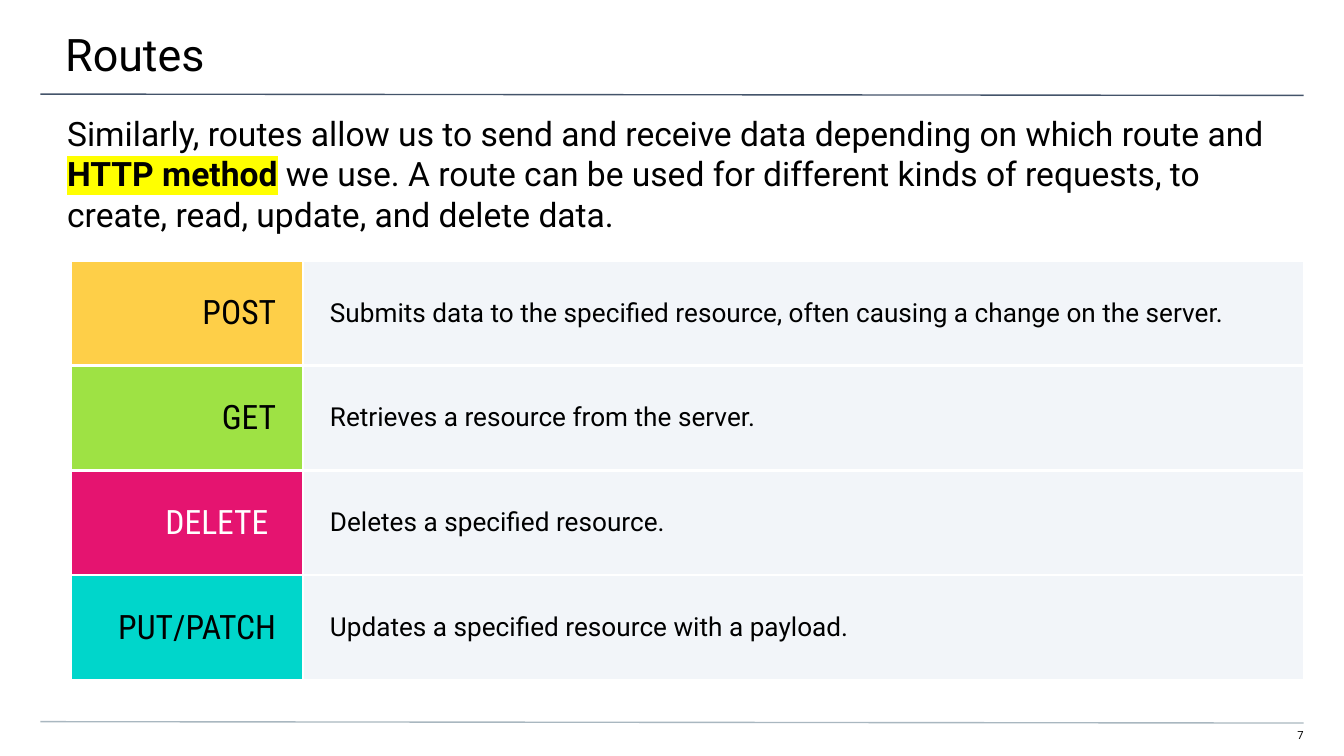
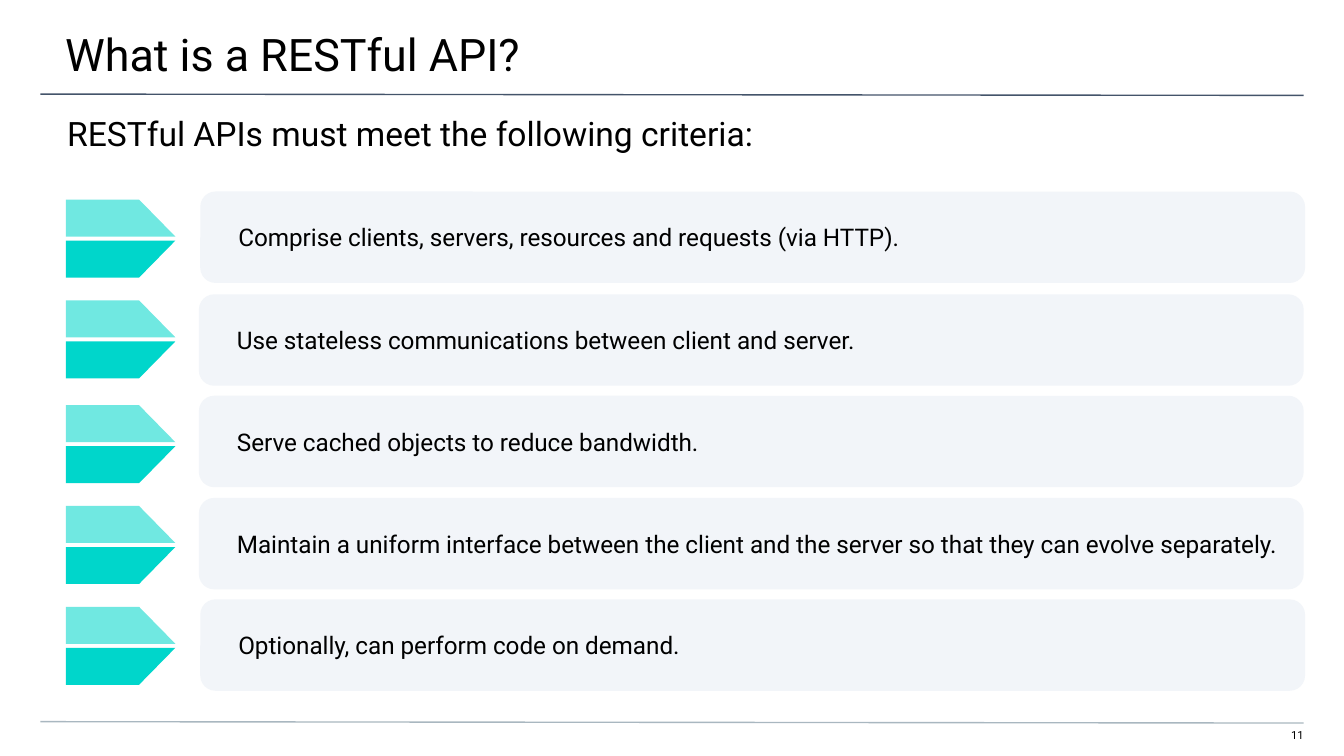
"""Build two slides on HTTP routes and the criteria of a RESTful API."""
from lxml import etree
from pptx import Presentation
from pptx.dml.color import RGBColor
from pptx.enum.shapes import MSO_CONNECTOR, MSO_SHAPE
from pptx.enum.text import MSO_ANCHOR, MSO_AUTO_SIZE, PP_ALIGN
from pptx.oxml.ns import qn
from pptx.util import Pt

PX = 4572
LEFT, RIGHT = PP_ALIGN.LEFT, PP_ALIGN.RIGHT
TOP, MIDDLE = MSO_ANCHOR.TOP, MSO_ANCHOR.MIDDLE
STRAIGHT = MSO_CONNECTOR.STRAIGHT
ROUNDED = MSO_SHAPE.ROUNDED_RECTANGLE
NO_AUTOFIT = MSO_AUTO_SIZE.NONE

BLACK = RGBColor(0x00, 0x00, 0x00)
WHITE = RGBColor(0xFF, 0xFF, 0xFF)
NAVY = RGBColor(0x44, 0x54, 0x6A)
GREY = RGBColor(0xA9, 0xB7, 0xC0)
PALE = RGBColor(0xF2, 0xF5, 0xF9)
YELLOW = RGBColor(0xFE, 0xCF, 0x48)
GREEN = RGBColor(0x9E, 0xE2, 0x44)
PINK = RGBColor(0xE5, 0x14, 0x70)
TEAL = RGBColor(0x00, 0xD6, 0xCB)
HIGHLIGHT = RGBColor(0xFF, 0xFF, 0x00)

BODY_FONT = "Roboto"
METHOD_FONT = "Roboto Condensed"


def write(frame, parts, size, insets, anchor=TOP, align=LEFT, color=BLACK, font=BODY_FONT):
    """Fill a text frame with one paragraph; odd parts are bold and highlighted."""
    frame.word_wrap = True
    frame.auto_size = NO_AUTOFIT
    frame.vertical_anchor = anchor
    (frame.margin_left, frame.margin_top,
     frame.margin_right, frame.margin_bottom) = [inset * PX for inset in insets]
    paragraph = frame.paragraphs[0]
    paragraph.alignment = align
    paragraph.font.size = Pt(size)
    paragraph.font.name = font
    paragraph.font.color.rgb = color
    for index, part in enumerate(parts):
        run = paragraph.add_run()
        run.text = part
        if index % 2:
            run.font.bold = True
            marker = etree.SubElement(run.font._element, qn("a:highlight"))
            etree.SubElement(marker, qn("a:srgbClr"), val=str(HIGHLIGHT))


def start_slide(number, heading, intro):
    """Add a slide with its number, rules, title and introduction."""
    slide = prs.slides.add_slide(prs.slide_layouts[5])
    page = slide.shapes.add_textbox(1882 * PX, 1084 * PX, 58 * PX, 24 * PX)
    write(page.text_frame, [number], 6, (0, 0, 0, 20), align=RIGHT)
    for y, color in ((140, NAVY), (1074, GREY)):
        rule = slide.shapes.add_connector(STRAIGHT, 60 * PX, y * PX, 1940 * PX, (y + 2) * PX)
        rule.line.color.rgb = color
        rule.line.width = Pt(0.75)
        etree.SubElement(rule._element.spPr, qn("a:effectLst"))
    title = slide.shapes.title
    title.left, title.top, title.width, title.height = -3 * PX, 0, 2006 * PX, 116 * PX
    write(title.text_frame, [heading], 24, (100, 40, 60, 20))
    lead = slide.shapes.add_textbox(0, 148 * PX, 2000 * PX, 80 * PX)
    write(lead.text_frame, intro, 18, (100, 20, 100, 0))
    return slide


prs = Presentation()
prs.slide_width, prs.slide_height = 2000 * PX, 1125 * PX

routes = start_slide("7", "Routes", [
    "Similarly, routes allow us to send and receive data depending on which route and ",
    "HTTP method",
    " we use. A route can be used for different kinds of requests, to create, read, "
    "update, and delete data.",
])
methods = [
    ("POST", YELLOW, BLACK,
     "Submits data to the specified resource, often causing a change on the server."),
    ("GET", GREEN, BLACK, "Retrieves a resource from the server."),
    ("DELETE ", PINK, WHITE, "Deletes a specified resource."),
    ("PUT/PATCH", TEAL, BLACK, "Updates a specified resource with a payload."),
]
table = routes.shapes.add_table(
    len(methods), 2, 106 * PX, 388 * PX, 1835 * PX, 156 * len(methods) * PX).table
table.first_row = table.horz_banding = False
table.columns[0].width, table.columns[1].width = 345 * PX, 1490 * PX
for row, (method, fill, color, effect) in enumerate(methods):
    method_cell, effect_cell = table.cell(row, 0), table.cell(row, 1)
    padding = (40, 40, 40, 40)
    write(method_cell.text_frame, [method], 18, padding, MIDDLE, RIGHT, color, METHOD_FONT)
    write(effect_cell.text_frame, [effect], 14, padding, MIDDLE)
    for cell, background in ((method_cell, fill), (effect_cell, PALE)):
        cell.vertical_anchor = MIDDLE
        (cell.margin_left, cell.margin_top,
         cell.margin_right, cell.margin_bottom) = [inset * PX for inset in padding]
        properties = cell._tc.get_or_add_tcPr()
        for side in ("a:lnL", "a:lnR", "a:lnT", "a:lnB"):
            border = etree.SubElement(properties, qn(side), w=str(Pt(1.5)))
            stroke = etree.SubElement(border, qn("a:solidFill"))
            etree.SubElement(stroke, qn("a:srgbClr"), val=str(WHITE))
        cell.fill.solid()
        cell.fill.fore_color.rgb = background

restful = start_slide("11", "What is a RESTful API?",
                      ["RESTful APIs must meet the following criteria:"])
criteria = [
    ("Comprise clients, servers, resources and requests (via HTTP).", 298, 285, 297),
    ("Use stateless communications between client and server.", 296, 438, 447),
    ("Serve cached objects to reduce bandwidth.", 296, 589, 603),
    ("Maintain a uniform interface between the client and the server so that they can "
     "evolve separately.", 296, 741, 753),
    ("Optionally, can perform code on demand.", 298, 892, 903),
]
for criterion, bar_left, bar_top, arrow_top in criteria:
    bar = restful.shapes.add_shape(ROUNDED, bar_left * PX, bar_top * PX, 1644 * PX, 136 * PX)
    bar.shadow.inherit = False
    bar.fill.solid()
    bar.fill.fore_color.rgb = PALE
    bar.line.fill.background()
    write(bar.text_frame, [criterion], 13, (50, 20, 20, 20), MIDDLE)
for criterion, bar_left, bar_top, arrow_top in criteria:
    for outer, inner, opacity in ((0, 55, 56), (116, 61, 100)):
        outer_y, inner_y = arrow_top + outer, arrow_top + inner
        outline = restful.shapes.build_freeform(98, outer_y, PX)
        outline.add_line_segments([(98, inner_y), (261, inner_y), (207, outer_y)])
        half = outline.convert_to_shape()
        half.shadow.inherit = False
        half.fill.solid()
        half.fill.fore_color.rgb = TEAL
        half.line.fill.background()
        if opacity < 100:
            tint = half._element.spPr.find(qn("a:solidFill"))[0]
            etree.SubElement(tint, qn("a:alpha"), val=str(opacity * 1000))

prs.save("out.pptx")
